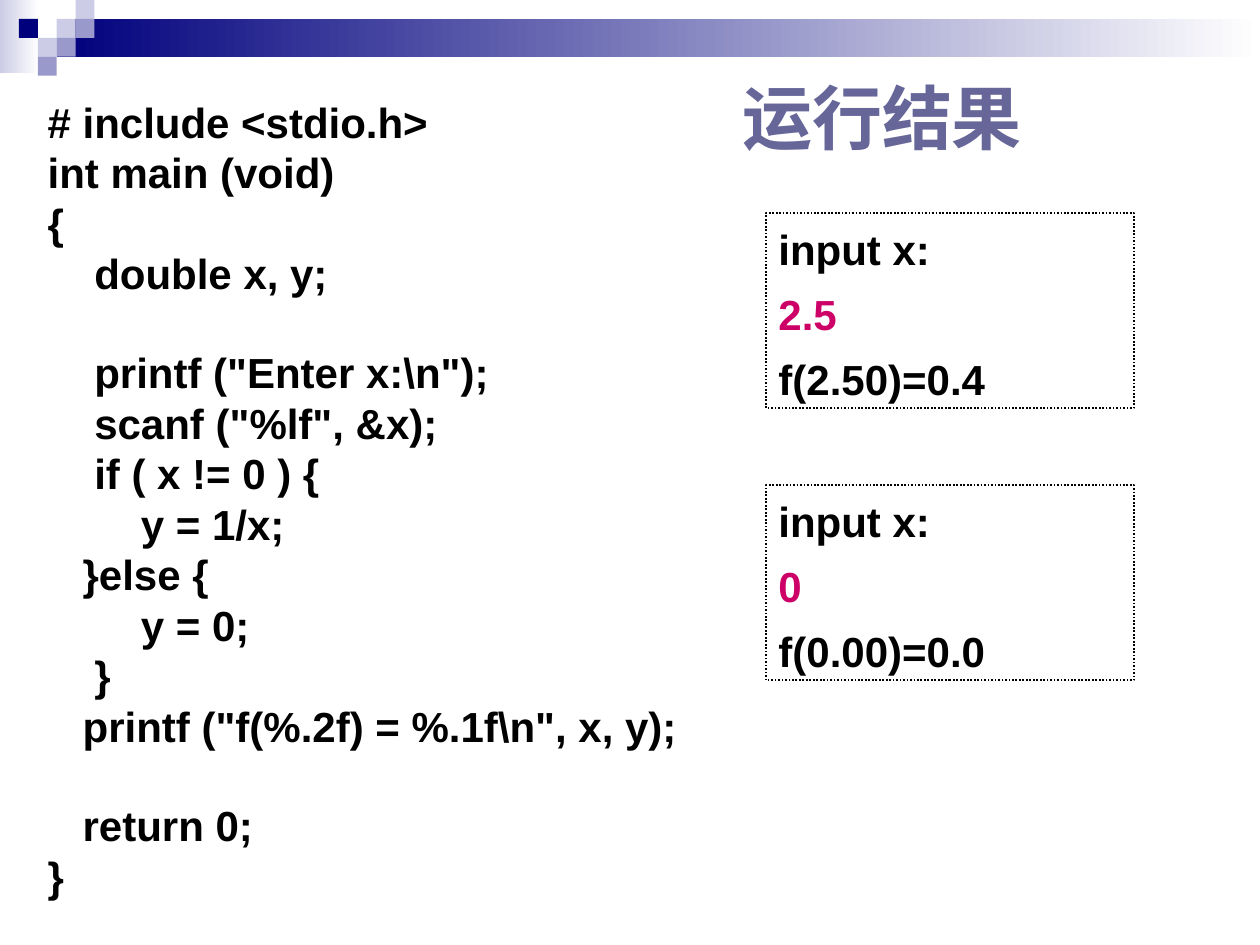
from pptx import Presentation
from pptx.dml.color import RGBColor
from pptx.enum.dml import MSO_LINE_DASH_STYLE as Dash
from pptx.enum.shapes import MSO_SHAPE as Shape
from pptx.enum.text import MSO_ANCHOR as Anchor, PP_ALIGN as Align
from pptx.util import Inches, Pt

NAVY = RGBColor(0x00, 0x00, 0x7D)
LAVENDER = RGBColor(0xCC, 0xCC, 0xE6)
PERIWINKLE = RGBColor(0x99, 0x99, 0xCC)
SLATE = RGBColor(0x66, 0x66, 0x99)
MAGENTA = RGBColor(0xCC, 0x00, 0x66)
BLACK = RGBColor(0x00, 0x00, 0x00)
WHITE = RGBColor(0xFF, 0xFF, 0xFF)

FONT = "Arial"
CELL = 0.15
SPACE_WIDTH = 0.0926
CODE_GAP = 5.8
BLANK_LINE = 27.9
RESULT_GAP = 8.4

MOSAIC = [
    (3, 1, LAVENDER),
    (4, 0, LAVENDER),
    (4, 1, PERIWINKLE),
    (2, 2, LAVENDER),
    (1, 1, NAVY),
    (3, 2, PERIWINKLE),
    (2, 3, PERIWINKLE),
]

# Each entry: indent in characters, blank lines before, text
CODE = [
    (0, 0, "# include <stdio.h>"),
    (0, 0, "int main (void)"),
    (0, 0, "{"),
    (4, 0, "double x, y;"),
    (4, 1, 'printf ("Enter x:\\n");'),
    (4, 0, 'scanf ("%lf", &x);'),
    (4, 0, "if ( x != 0 ) {"),
    (8, 0, "y = 1/x;"),
    (3, 0, "}else {"),
    (8, 0, "y = 0;"),
    (4, 0, "}"),
    (3, 0, 'printf ("f(%.2f) = %.1f\\n", x, y);'),
    (3, 1, "return 0;"),
    (0, 0, "}"),
]

RESULTS = [("2.5", "f(2.50)=0.4"), ("0", "f(0.00)=0.0")]


def add_run(paragraph, text, size=24, color=BLACK):
    run = paragraph.add_run()
    run.text = text
    run.font.name = FONT
    run.font.size = Pt(size)
    run.font.bold = True
    run.font.color.rgb = color


def next_paragraph(frame, index):
    return frame.add_paragraph() if index else frame.paragraphs[0]


def add_rectangle(slide, left, top, width, height):
    shape = slide.shapes.add_shape(
        Shape.RECTANGLE, Inches(left), Inches(top), Inches(width), Inches(height))
    shape.shadow.inherit = False
    return shape


def add_fade(slide, left, top, width, height, color):
    shape = add_rectangle(slide, left, top, width, height)
    shape.line.fill.background()
    shape.fill.gradient()
    shape.fill.gradient_angle = 0
    for stop, stop_color in zip(shape.fill.gradient_stops, (color, WHITE)):
        stop.color.rgb = stop_color


def add_tile(slide, column, row, color):
    shape = add_rectangle(slide, column * CELL, row * CELL, CELL, CELL)
    shape.line.fill.background()
    shape.fill.solid()
    shape.fill.fore_color.rgb = color


def add_header(slide):
    add_fade(slide, 0, 0, 0.31, 0.58, LAVENDER)
    add_fade(slide, 3 * CELL, CELL, 10 - 3 * CELL, 2 * CELL, NAVY)
    for column, row, color in MOSAIC:
        add_tile(slide, column, row, color)


def add_title(slide, text):
    title = slide.shapes.title
    title.left, title.top = Inches(5.79), Inches(0.52)
    title.width, title.height = Inches(3.87), Inches(0.81)
    title.text_frame.vertical_anchor = Anchor.MIDDLE
    paragraph = title.text_frame.paragraphs[0]
    paragraph.alignment = Align.LEFT
    add_run(paragraph, text, 40, SLATE)


def add_code(slide):
    box = slide.shapes.add_textbox(
        Inches(0.28), Inches(0.76), Inches(5.67), Inches(6.46))
    frame = box.text_frame
    frame.word_wrap = True
    frame.margin_top = Inches(0.08)
    for index, (indent, blank_lines, text) in enumerate(CODE):
        paragraph = next_paragraph(frame, index)
        paragraph.line_spacing = 0.8
        gap = CODE_GAP if index else 0
        paragraph.space_before = Pt(gap + blank_lines * BLANK_LINE)
        properties = paragraph._p.get_or_add_pPr()
        properties.set("marL", str(Inches(indent * SPACE_WIDTH)))
        add_run(paragraph, text)


def add_result(slide, row, value, output):
    shape = add_rectangle(slide, 6.08, 1.69 + row * 2.16, 2.92, 1.55)
    shape.fill.background()
    shape.line.color.rgb = BLACK
    shape.line.width = Pt(1)
    shape.line.dash_style = Dash.ROUND_DOT
    frame = shape.text_frame
    frame.word_wrap = True
    frame.vertical_anchor = Anchor.TOP
    frame.margin_top = Inches(0.08)
    lines = [("input x:", BLACK), (value, MAGENTA), (output, BLACK)]
    for index, (text, color) in enumerate(lines):
        paragraph = next_paragraph(frame, index)
        paragraph.alignment = Align.LEFT
        paragraph.space_before = Pt(RESULT_GAP if index else 0)
        add_run(paragraph, text, color=color)


def main():
    presentation = Presentation()
    presentation.slide_width = Inches(10)
    presentation.slide_height = Inches(7.5)
    slide = presentation.slides.add_slide(presentation.slide_layouts[5])
    add_header(slide)
    add_title(slide, "运行结果")
    add_code(slide)
    for row, (value, output) in enumerate(RESULTS):
        add_result(slide, row, value, output)
    presentation.save("out.pptx")


if __name__ == "__main__":
    main()
